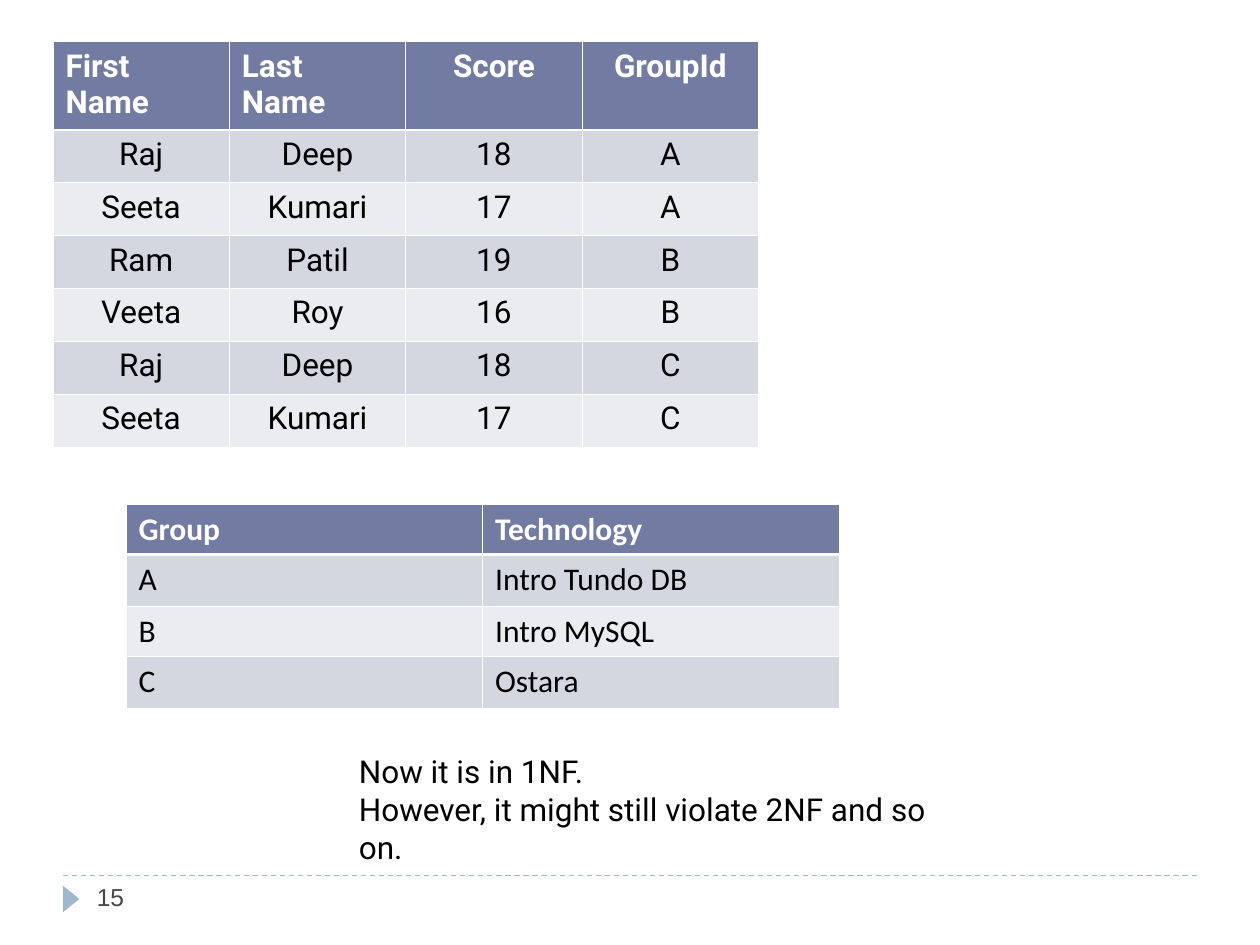
from dataclasses import dataclass

from lxml import etree
from pptx import Presentation
from pptx.dml.color import RGBColor
from pptx.enum.dml import MSO_LINE
from pptx.enum.shapes import MSO_CONNECTOR, MSO_SHAPE
from pptx.enum.text import MSO_AUTO_SIZE, PP_ALIGN
from pptx.oxml.ns import qn
from pptx.util import Inches, Pt

LEFT, CENTER = PP_ALIGN.LEFT, PP_ALIGN.CENTER
DASH = MSO_LINE.DASH
STRAIGHT = MSO_CONNECTOR.STRAIGHT
TRIANGLE = MSO_SHAPE.ISOSCELES_TRIANGLE
FIT_SHAPE = MSO_AUTO_SIZE.SHAPE_TO_FIT_TEXT

WHITE, BLACK = "FFFFFF", "000000"
HEADER_FILL, BANDS = "727CA3", ("D5D7E0", "EBECF0")
ACCENT, NUMBER_COLOR = "9FB8CD", "464653"
THIN, THICK = 0.45, 1.47


@dataclass
class TableBlock:
    left: float
    top: float
    col_width: float
    row_heights: list[float]
    rows: list[tuple[str, ...]]
    font: str
    header_aligns: tuple
    body_align: PP_ALIGN


SCORES = TableBlock(
    0.42, 0.33, 1.4, [0.7] + [0.42] * 6,
    [
        ("First Name", "Last Name", "Score", "GroupId"),
        ("Raj", "Deep", "18", "A"),
        ("Seeta", "Kumari", "17", "A"),
        ("Ram", "Patil", "19", "B"),
        ("Veeta", "Roy", "16", "B"),
        ("Raj", "Deep", "18", "C"),
        ("Seeta", "Kumari", "17", "C"),
    ],
    "Roboto", (LEFT, LEFT, CENTER, CENTER), CENTER,
)
GROUPS = TableBlock(
    1, 4, 2.83, [0.4, 0.41, 0.4, 0.41],
    [
        ("Group", "Technology"),
        ("A", "Intro Tundo DB"),
        ("B", "Intro MySQL"),
        ("C", "Ostara"),
    ],
    "Calibri", (LEFT, LEFT), LEFT,
)


def rgb(color: str) -> RGBColor:
    return RGBColor.from_string(color)


def write(tf, text: str, *, font: str, size: float = 18, color: str = BLACK,
          bold: bool = False, align: PP_ALIGN = LEFT) -> None:
    """Fill the first paragraph; a newline becomes a line break."""
    p = tf.paragraphs[0]
    p.alignment = align
    for i, line in enumerate(text.split("\n")):
        if i:
            p.add_line_break()
        r = p.add_run()
        r.text = line
        r.font.name = font
        r.font.size = Pt(size)
        r.font.bold = bold
        r.font.color.rgb = rgb(color)


def add_text(slide, left: float, top: float, width: float, height: float,
             text: str, **style):
    box = slide.shapes.add_textbox(Inches(left), Inches(top), Inches(width), Inches(height))
    tf = box.text_frame
    tf.word_wrap = True
    write(tf, text, **style)
    return tf


def set_borders(cell, top: float, bottom: float) -> None:
    """Add white cell borders; top and bottom are widths in points."""
    tcPr = cell._tc.get_or_add_tcPr()
    for side, width in (("L", THIN), ("R", THIN), ("T", top), ("B", bottom)):
        ln = etree.SubElement(tcPr, qn(f"a:ln{side}"), w=str(Pt(width)))
        fill = etree.SubElement(ln, qn("a:solidFill"))
        etree.SubElement(fill, qn("a:srgbClr"), val=WHITE)


def add_table(slide, block: TableBlock) -> None:
    n_rows, n_cols = len(block.rows), len(block.rows[0])
    table = slide.shapes.add_table(
        n_rows, n_cols, Inches(block.left), Inches(block.top),
        Inches(block.col_width * n_cols), Inches(sum(block.row_heights))).table
    for col in table.columns:
        col.width = Inches(block.col_width)
    for i, (values, height) in enumerate(zip(block.rows, block.row_heights)):
        table.rows[i].height = Inches(height)
        header = i == 0
        for j, value in enumerate(values):
            cell = table.cell(i, j)
            set_borders(cell, THICK if i == 1 else THIN, THICK if header else THIN)
            cell.fill.solid()
            cell.fill.fore_color.rgb = rgb(HEADER_FILL if header else BANDS[(i - 1) % 2])
            write(cell.text_frame, value, font=block.font, bold=header,
                  color=WHITE if header else BLACK,
                  align=block.header_aligns[j] if header else block.body_align)


def add_footer(slide) -> None:
    rule = slide.shapes.add_connector(STRAIGHT, Inches(0.5), Inches(6.95), Inches(9.5), Inches(6.95))
    rule.line.color.rgb = rgb(ACCENT)
    rule.line.width = Pt(0.75)
    rule.line.dash_style = DASH
    etree.SubElement(rule._element.spPr, qn("a:effectLst"))

    marker = slide.shapes.add_shape(TRIANGLE, Inches(0.46), Inches(7.07), Inches(0.21), Inches(0.13))
    marker.rotation = 90
    marker.shadow.inherit = False
    marker.fill.solid()
    marker.fill.fore_color.rgb = rgb(ACCENT)
    marker.line.fill.background()

    add_text(slide, 0.67, 6.95, 2.17, 0.4, "15", font="Arial", size=14, color=NUMBER_COLOR)


def main() -> None:
    prs = Presentation()
    prs.slide_width, prs.slide_height = Inches(10), Inches(7.5)
    slide = prs.slides.add_slide(prs.slide_layouts[6])
    add_footer(slide)
    for block in (SCORES, GROUPS):
        add_table(slide, block)
    note = add_text(slide, 2.75, 5.92, 5, 1,
                    "Now it is in 1NF.\nHowever, it might still violate 2NF and so on.",
                    font="Roboto")
    note.auto_size = FIT_SHAPE
    prs.save("out.pptx")


if __name__ == "__main__":
    main()
